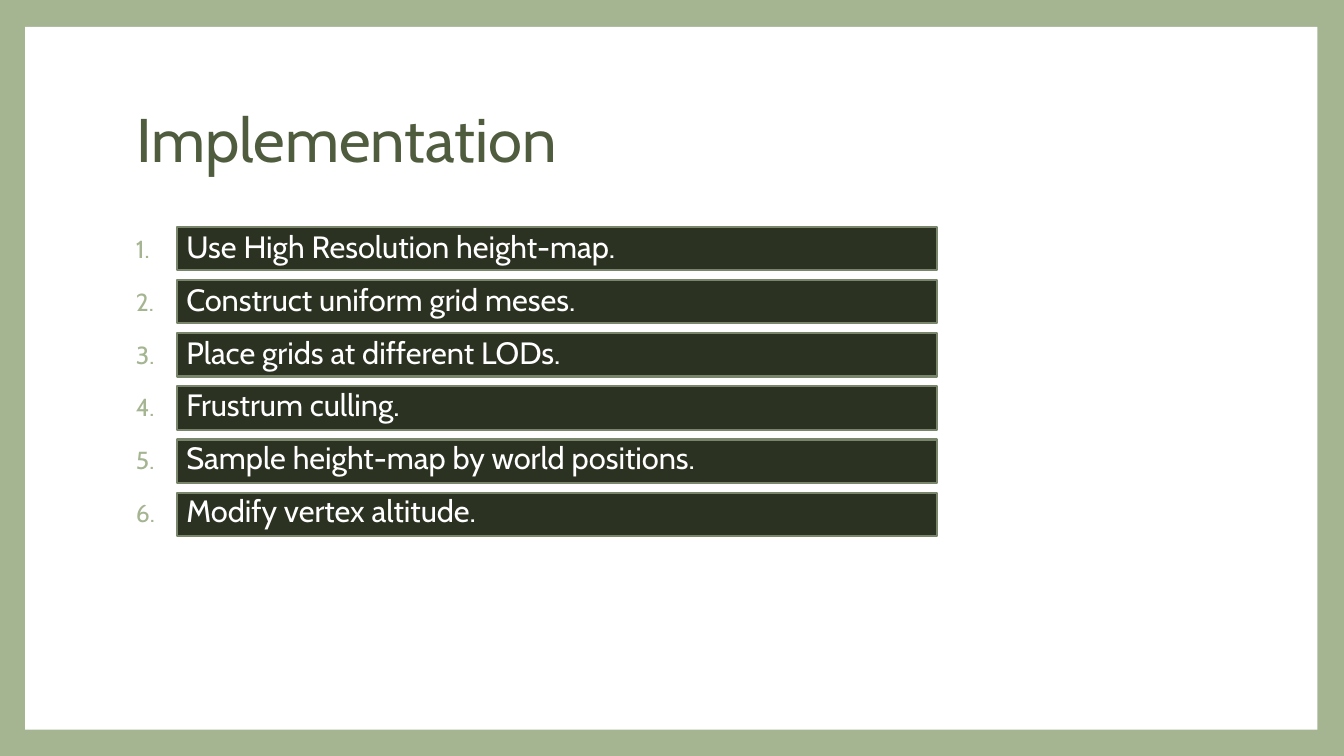
"""Build the Implementation slide: a numbered list over dark bars."""
from dataclasses import dataclass

from lxml import etree
from pptx import Presentation
from pptx.dml.color import RGBColor
from pptx.enum.shapes import MSO_SHAPE
from pptx.enum.text import MSO_ANCHOR, MSO_AUTO_SIZE, PP_ALIGN
from pptx.oxml.ns import qn
from pptx.util import Pt

RECTANGLE = MSO_SHAPE.RECTANGLE
TOP = MSO_ANCHOR.TOP
MIDDLE = MSO_ANCHOR.MIDDLE
NO_AUTO_SIZE = MSO_AUTO_SIZE.NONE
LEFT = PP_ALIGN.LEFT
TITLE_ONLY = 5

STEPS = [
    "Use High Resolution height-map.",
    "Construct uniform grid meses.",
    "Place grids at different LODs.",
    "Frustrum culling.",
    "Sample height-map by world positions.",
    "Modify vertex altitude.",
]


@dataclass(frozen=True)
class Theme:
    font: str = "Cabin"
    sage: str = "A5B592"
    paper: str = "FFFFFF"
    bar: str = "2B3222"
    bar_line: str = "7A866C"
    title: str = "4F5C3E"
    title_size: int = 44
    step_size: int = 22
    line_spacing: float = 0.9


class SlideBuilder:
    def __init__(self, slide, theme):
        self.slide = slide
        self.theme = theme

    def background(self):
        fill = self.slide.background.fill
        fill.solid()
        fill.fore_color.rgb = RGBColor.from_string(self.theme.sage)

    def rectangle(self, box, color, line_color=None):
        shape = self.slide.shapes.add_shape(RECTANGLE, *map(Pt, box))
        shape.shadow.inherit = False
        shape.fill.solid()
        shape.fill.fore_color.rgb = RGBColor.from_string(color)
        if line_color:
            shape.line.color.rgb = RGBColor.from_string(line_color)
            shape.line.width = Pt(1.5)
        else:
            shape.line.fill.background()

    def frame(self, shape, anchor):
        frame = shape.text_frame
        frame.word_wrap = True
        frame.auto_size = NO_AUTO_SIZE
        frame.vertical_anchor = anchor
        return frame

    def add_text(self, paragraph, text, size, color):
        paragraph.alignment = LEFT
        paragraph.line_spacing = self.theme.line_spacing
        run = paragraph.add_run()
        run.text = text
        run.font.name = self.theme.font
        run.font.size = Pt(size)
        run.font.color.rgb = RGBColor.from_string(color)

    def title(self, text, box):
        shape = self.slide.shapes.title
        shape.left, shape.top, shape.width, shape.height = map(Pt, box)
        paragraph = self.frame(shape, MIDDLE).paragraphs[0]
        self.add_text(paragraph, text, self.theme.title_size, self.theme.title)
        self.slide.shapes._spTree.append(shape._element)

    def number(self, paragraph, indent):
        properties = paragraph._p.get_or_add_pPr()
        properties.set("marL", str(Pt(indent)))
        properties.set("indent", str(-Pt(indent)))
        color = etree.SubElement(properties, qn("a:buClr"))
        etree.SubElement(color, qn("a:srgbClr"), val=self.theme.sage)
        etree.SubElement(properties, qn("a:buSzPct"), val="80000")
        etree.SubElement(properties, qn("a:buFont"), typeface=self.theme.font)
        etree.SubElement(properties, qn("a:buAutoNum"), type="arabicPeriod")

    def numbered_list(self, items, box):
        frame = self.frame(self.slide.shapes.add_textbox(*map(Pt, box)), TOP)
        for index, item in enumerate(items):
            paragraph = frame.add_paragraph() if index else frame.paragraphs[0]
            paragraph.space_before = Pt(14)
            self.add_text(paragraph, item, self.theme.step_size, self.theme.paper)
            self.number(paragraph, 36)


def main():
    presentation = Presentation()
    presentation.slide_width, presentation.slide_height = Pt(960), Pt(540)
    slide = presentation.slides.add_slide(presentation.slide_layouts[TITLE_ONLY])
    theme = Theme()
    builder = SlideBuilder(slide, theme)
    builder.background()
    builder.rectangle((18, 19.2, 923, 502), theme.paper)
    builder.title("Implementation", (90, 48, 778, 107))
    for index in range(len(STEPS)):
        bar = (126.5, 162 + 38 * index, 543, 31)
        builder.rectangle(bar, theme.bar, theme.bar_line)
    builder.numbered_list(STEPS, (90, 162, 752, 318))
    presentation.save("out.pptx")


if __name__ == "__main__":
    main()
